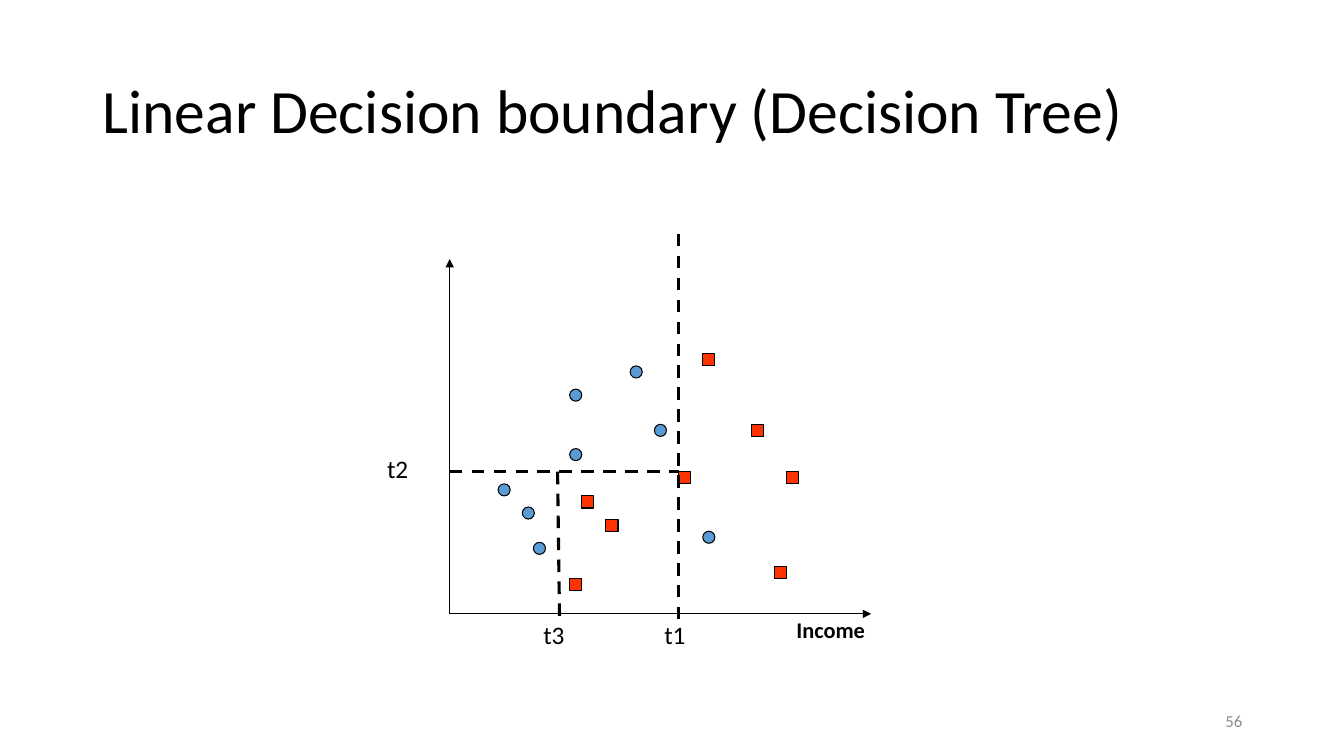
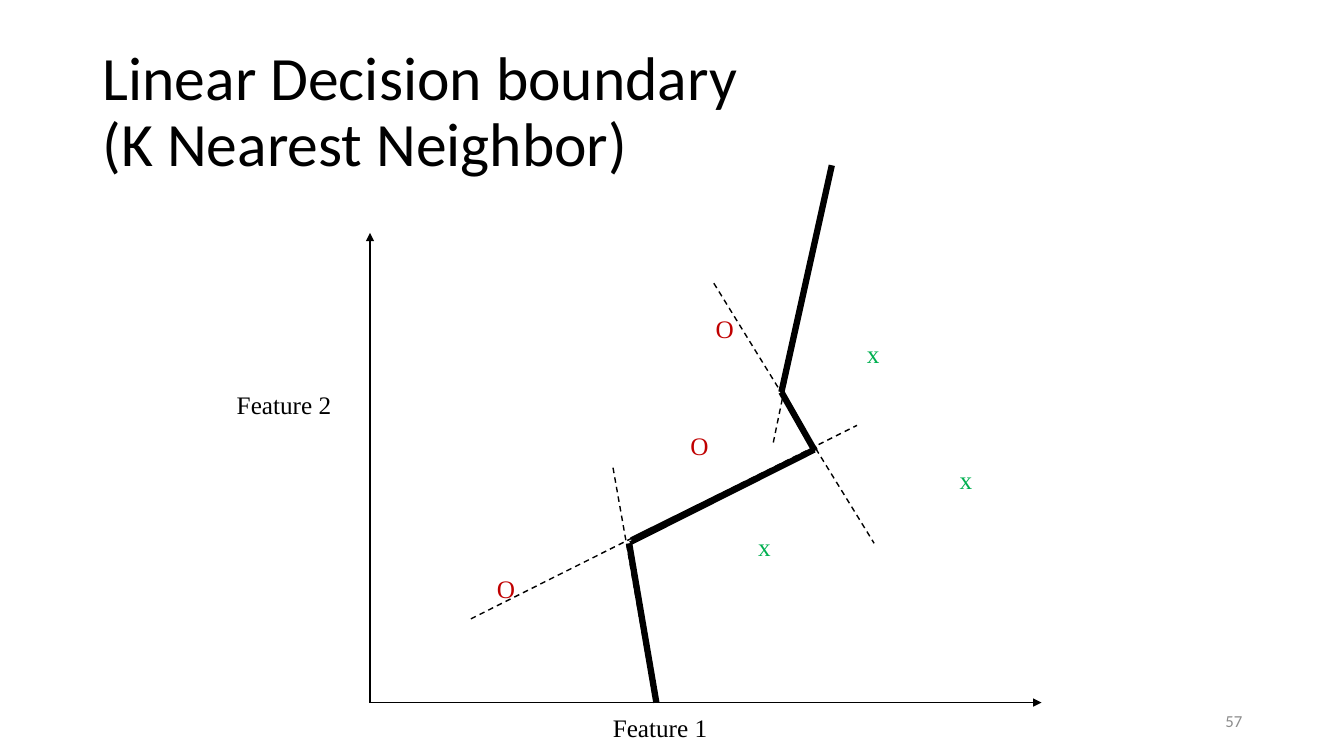
from typing import NamedTuple

from lxml.etree import SubElement
from pptx import Presentation
from pptx.dml.color import RGBColor
from pptx.enum.dml import MSO_LINE
from pptx.enum.shapes import MSO_CONNECTOR, MSO_SHAPE
from pptx.enum.text import MSO_ANCHOR, MSO_AUTO_SIZE, PP_ALIGN
from pptx.oxml.ns import qn
from pptx.slide import Slide
from pptx.util import Inches, Pt

BLACK = RGBColor(0x00, 0x00, 0x00)
GRAY = RGBColor(0x8C, 0x8C, 0x8C)
BLUE = RGBColor(0x5B, 0x9B, 0xD5)
ORANGE = RGBColor(0xFF, 0x33, 0x00)
RED = RGBColor(0xC0, 0x00, 0x00)
GREEN = RGBColor(0x00, 0xB0, 0x50)
SANS = "Calibri"
SERIF = "Times New Roman"
MARKER_SIZE = 0.12


class Point(NamedTuple):
    x: float
    y: float


class Segment(NamedTuple):
    start: Point
    end: Point
    weight: float
    dashed: bool = False
    arrow: bool = False


class Label(NamedTuple):
    text: str
    left: float
    top: float
    width: float
    height: float = 0.4
    font: str = SANS
    size: float = 18
    color: RGBColor = BLACK
    bold: bool = False
    wrap: bool = False
    anchor: MSO_ANCHOR = MSO_ANCHOR.TOP
    align: PP_ALIGN = PP_ALIGN.LEFT
    spacing: float = 1.0


class MarkerClass(NamedTuple):
    outline: MSO_SHAPE
    color: RGBColor
    corners: list[Point]


class LetterClass(NamedTuple):
    letter: str
    color: RGBColor
    width: float
    corners: list[Point]


def draw_segment(slide: Slide, segment: Segment) -> None:
    ends = [Inches(v) for v in (*segment.start, *segment.end)]
    connector = slide.shapes.add_connector(MSO_CONNECTOR.STRAIGHT, *ends)
    connector.line.color.rgb = BLACK
    connector.line.width = Pt(segment.weight)
    if segment.dashed:
        connector.line.dash_style = MSO_LINE.DASH
    if segment.arrow:
        SubElement(connector.line._get_or_add_ln(), qn("a:tailEnd"), type="triangle")
    SubElement(connector._element.spPr, qn("a:effectLst"))


def draw_label(slide: Slide, label: Label) -> None:
    box = slide.shapes.add_textbox(
        Inches(label.left), Inches(label.top), Inches(label.width), Inches(label.height)
    )
    frame = box.text_frame
    frame.word_wrap = label.wrap
    frame.auto_size = MSO_AUTO_SIZE.NONE if label.wrap else MSO_AUTO_SIZE.SHAPE_TO_FIT_TEXT
    frame.vertical_anchor = label.anchor
    paragraph = frame.paragraphs[0]
    paragraph.text = label.text
    paragraph.alignment = label.align
    paragraph.line_spacing = label.spacing
    paragraph.font.name = label.font
    paragraph.font.size = Pt(label.size)
    paragraph.font.bold = label.bold
    paragraph.font.color.rgb = label.color


def draw_markers(slide: Slide, group: MarkerClass) -> None:
    size = Inches(MARKER_SIZE)
    for corner in group.corners:
        marker = slide.shapes.add_shape(
            group.outline, Inches(corner.x), Inches(corner.y), size, size
        )
        marker.shadow.inherit = False
        marker.fill.solid()
        marker.fill.fore_color.rgb = group.color
        marker.line.color.rgb = BLACK
        marker.line.width = Pt(0.75)


def draw_axes(slide: Slide, origin: Point, right: float, top: float, weight: float) -> None:
    for tip in (Point(right, origin.y), Point(origin.x, top)):
        draw_segment(slide, Segment(origin, tip, weight, arrow=True))


def add_titled_slide(prs: Presentation, title: str, number: int) -> Slide:
    slide = prs.slides.add_slide(prs.slide_layouts[6])
    draw_label(slide, Label(title, 0.92, 0.4, 11.5, 1.45, size=44, wrap=True,
                            anchor=MSO_ANCHOR.MIDDLE, spacing=0.9))
    draw_label(slide, Label(str(number), 9.42, 6.95, 3, size=12, color=GRAY, wrap=True,
                            anchor=MSO_ANCHOR.MIDDLE, align=PP_ALIGN.RIGHT))
    return slide


def build_decision_tree(prs: Presentation) -> None:
    slide = add_titled_slide(prs, "Linear Decision boundary (Decision Tree)", 56)
    draw_axes(slide, Point(4.46, 6.09), 8.64, 2.57, 0.75)
    circles = [
        Point(4.94, 4.8), Point(5.18, 5.03), Point(5.65, 3.86), Point(6.25, 3.63),
        Point(5.65, 4.45), Point(6.49, 4.21), Point(5.29, 5.38), Point(6.97, 5.27),
    ]
    squares = [
        Point(5.77, 4.92), Point(6.01, 5.15), Point(6.73, 4.68), Point(7.45, 4.21),
        Point(6.97, 3.51), Point(5.65, 5.74), Point(7.68, 5.62), Point(7.8, 4.68),
    ]
    draw_markers(slide, MarkerClass(MSO_SHAPE.OVAL, BLUE, circles))
    draw_markers(slide, MarkerClass(MSO_SHAPE.RECTANGLE, ORANGE, squares))
    splits = [
        (Point(6.73, 2.32), Point(6.73, 6.18)),
        (Point(4.46, 4.68), Point(6.73, 4.68)),
        (Point(5.53, 4.68), Point(5.55, 6.17)),
    ]
    for start, end in splits:
        draw_segment(slide, Segment(start, end, 2.25, dashed=True))
    for threshold, left, top in (("t1", 6.49, 6.09), ("t3", 5.29, 6.09), ("t2", 3.74, 4.45)):
        draw_label(slide, Label(threshold, left, top, 0.41))
    draw_label(slide, Label("Income", 7.8, 6.06, 0.89, 0.37, size=16, bold=True))


def build_nearest_neighbor(prs: Presentation) -> None:
    slide = add_titled_slide(prs, "Linear Decision boundary \n(K Nearest Neighbor)", 57)
    draw_axes(slide, Point(3.67, 6.97), 10.33, 2.31, 1)
    letter_classes = [
        LetterClass("O", RED, 0.38, [Point(6.75, 4.22), Point(7, 3.06), Point(4.83, 5.64)]),
        LetterClass("x", GREEN, 0.33, [Point(9.42, 4.56), Point(8.5, 3.31), Point(7.42, 5.22)]),
    ]
    for group in letter_classes:
        for corner in group.corners:
            draw_label(slide, Label(group.letter, corner.x, corner.y, group.width,
                                    font=SERIF, color=group.color))
    for feature, left, top in (("Feature 1", 5.98, 7.02), ("Feature 2", 2.25, 3.81)):
        draw_label(slide, Label(feature, left, top, 1.14, font=SERIF))
    bisectors = [
        (Point(7.67, 4.39), Point(8.17, 1.97)),
        (Point(7.08, 2.81), Point(8.67, 5.39)),
        (Point(4.67, 6.14), Point(8.5, 4.22)),
        (Point(6.08, 4.64), Point(6.42, 6.56)),
    ]
    for start, end in bisectors:
        draw_segment(slide, Segment(start, end, 1, dashed=True))
    boundary = [
        Segment(Point(6.24, 5.39), Point(6.51, 6.97), 4.5),
        Segment(Point(6.25, 5.39), Point(8.08, 4.47), 3),
        Segment(Point(6.26, 5.35), Point(8.1, 4.44), 3),
        Segment(Point(8.08, 4.47), Point(7.75, 3.89), 4.5),
        Segment(Point(7.75, 3.89), Point(8.25, 1.64), 4.5),
    ]
    for segment in boundary:
        draw_segment(slide, segment)


def main() -> None:
    prs = Presentation()
    prs.slide_width = Inches(13.33)
    prs.slide_height = Inches(7.5)
    build_decision_tree(prs)
    build_nearest_neighbor(prs)
    prs.save("out.pptx")


if __name__ == "__main__":
    main()
